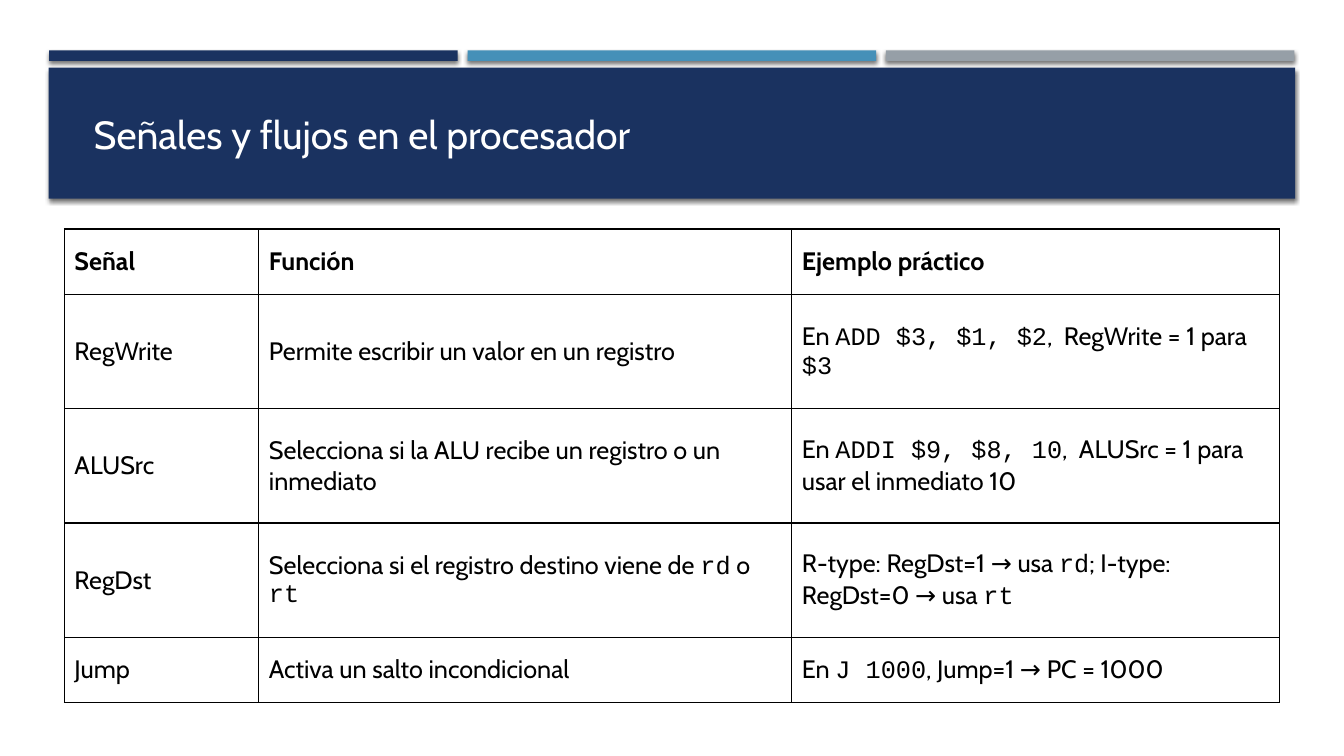
import pptx
import pptx.dml.color
import pptx.enum.shapes
import pptx.enum.text
import pptx.oxml
import pptx.oxml.ns
import pptx.util

Pt = pptx.util.Pt
NAVY, BLUE, GREY = "1A3260", "4590B8", "969FA7"
BLACK, WHITE = "000000", "FFFFFF"
BODY_FONT, CODE_FONT = "Cabin", "Courier New"

COL_WIDTHS = [138.9, 380.7, 348.4]
ROW_HEIGHTS = [46.8, 81.6, 81.6, 81.6, 46.8]
# Backticks enclose code, which is set in the code font
SIGNALS = [
    ["Señal", "Función", "Ejemplo práctico"],
    ["RegWrite", "Permite escribir un valor en un registro",
     "En `ADD $3, $1, $2`,  RegWrite = 1 para `$3`"],
    ["ALUSrc", "Selecciona si la ALU recibe un registro o un inmediato",
     "En `ADDI $9, $8, 10`,  ALUSrc = 1 para usar el inmediato 10"],
    ["RegDst", "Selecciona si el registro destino viene de `rd` o `rt`",
     "R-type: RegDst=1 → usa `rd`; I-type: RegDst=0 → usa `rt`"],
    ["Jump", "Activa un salto incondicional",
     "En `J 1000`, Jump=1 → PC = 1000"],
]


def rgb(color):
    return pptx.dml.color.RGBColor.from_string(color)


def add_xml(parent, xml):
    ns = pptx.oxml.ns.nsdecls("a")
    parent.append(pptx.oxml.parse_xml(xml.replace(" ", f" {ns} ", 1)))


def add_bar(slide, left, top, width, height, color):
    """Add a filled rectangle with a soft shadow below it."""
    sp = slide.shapes.add_shape(
        pptx.enum.shapes.MSO_SHAPE.RECTANGLE,
        Pt(left), Pt(top), Pt(width), Pt(height))
    sp.fill.solid()
    sp.fill.fore_color.rgb = rgb(color)
    sp.line.fill.background()
    sp_pr = sp.fill._xPr
    add_xml(sp_pr, f'<a:effectLst ><a:outerShdw blurRad="{Pt(3)}" '
                   f'dist="{Pt(2)}" dir="5400000" rotWithShape="0">'
                   f'<a:srgbClr val="{BLACK}"><a:alpha val="55000"/>'
                   '</a:srgbClr></a:outerShdw></a:effectLst>')


def write_text(tf, text, size, color, bold=False):
    """Fill the first paragraph, switching font at each backtick."""
    p = tf.paragraphs[0]
    p.font.size = Pt(size)
    p.font.bold = bold
    p.font.color.rgb = rgb(color)
    p.font.name = BODY_FONT
    for i, part in enumerate(text.split("`")):
        if part:
            r = p.add_run()
            r.text = part
            if i % 2:
                r.font.name = CODE_FONT


def add_title(slide, text):
    sp = slide.shapes.add_textbox(Pt(59.8), Pt(75.6), Pt(630), Pt(40.3))
    tf = sp.text_frame
    tf.word_wrap = True
    tf.vertical_anchor = pptx.enum.text.MSO_ANCHOR.MIDDLE
    write_text(tf, text, 28, WHITE)


def style_cell(cell):
    """Give a cell thin black borders, no fill and centred height."""
    cell.vertical_anchor = pptx.enum.text.MSO_ANCHOR.MIDDLE
    tc_pr = cell._tc.get_or_add_tcPr()
    for side in "LRTB":
        add_xml(tc_pr, f'<a:ln{side} w="{Pt(0.96)}"><a:solidFill>'
                       f'<a:srgbClr val="{BLACK}"/></a:solidFill></a:ln{side}>')
    cell.fill.background()


def add_signal_table(slide, left, top):
    table = slide.shapes.add_table(
        len(ROW_HEIGHTS), len(COL_WIDTHS), Pt(left), Pt(top),
        Pt(sum(COL_WIDTHS)), Pt(sum(ROW_HEIGHTS))).table
    table.first_row = table.horz_banding = False
    for col, width in zip(table.columns, COL_WIDTHS):
        col.width = Pt(width)
    for i, (row, height) in enumerate(zip(table.rows, ROW_HEIGHTS)):
        row.height = Pt(height)
        for cell, text in zip(row.cells, SIGNALS[i]):
            style_cell(cell)
            write_text(cell.text_frame, text, 18, BLACK, bold=i == 0)


def main():
    prs = pptx.Presentation()
    prs.slide_width, prs.slide_height = Pt(960), Pt(540)
    slide = prs.slides.add_slide(prs.slide_layouts[6])

    # Three accent strips above the title banner
    for i, color in enumerate([NAVY, BLUE, GREY]):
        add_bar(slide, 35.2 + 298.8 * i, 36, 291.8, 7.5, color)

    # Title banner
    add_bar(slide, 34.8, 48.4, 890.4, 93.6, NAVY)
    add_title(slide, "Señales y flujos en el procesador")

    # Control signals
    add_signal_table(slide, 46, 163.6)
    prs.save("out.pptx")


if __name__ == "__main__":
    main()
